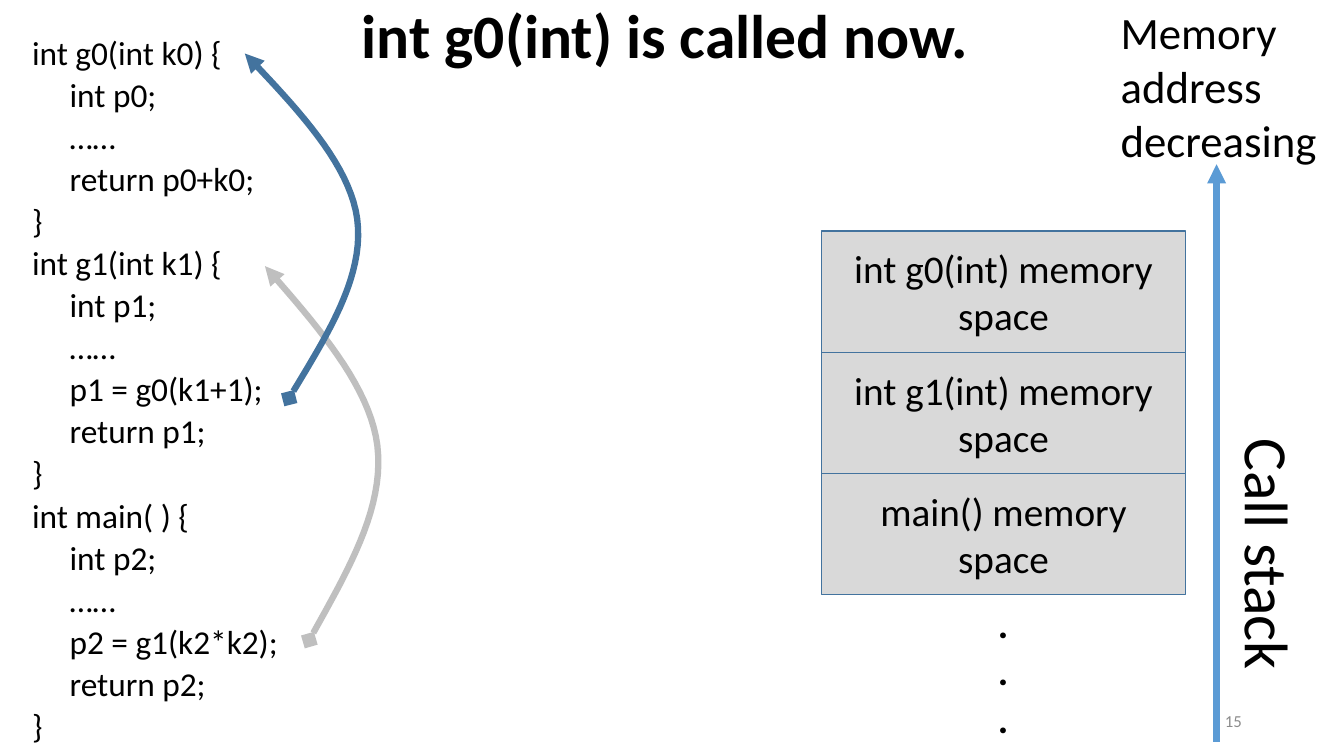
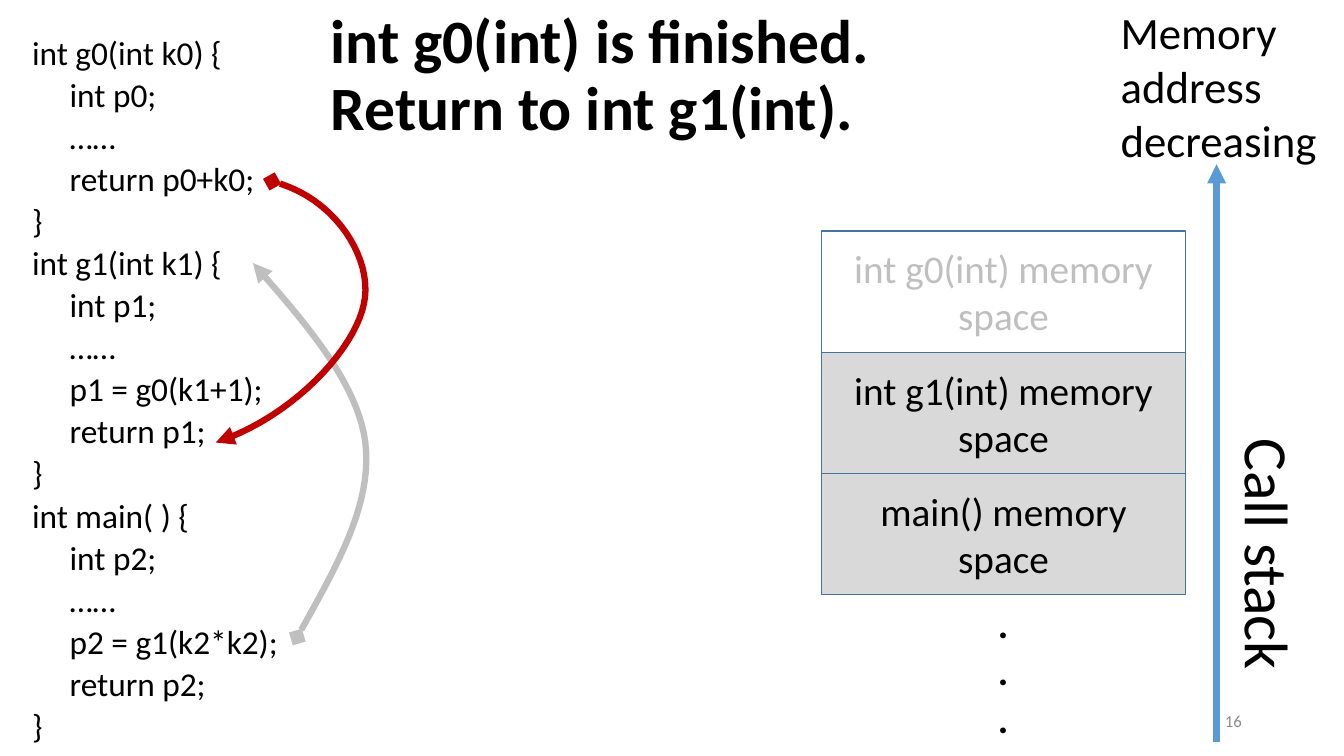
from dataclasses import dataclass

from lxml import etree
from pptx import Presentation
from pptx.dml.color import RGBColor
from pptx.enum.shapes import MSO_CONNECTOR, MSO_SHAPE
from pptx.enum.text import MSO_ANCHOR, PP_ALIGN
from pptx.oxml.ns import qn
from pptx.util import Pt

STRAIGHT = MSO_CONNECTOR.STRAIGHT
RECTANGLE = MSO_SHAPE.RECTANGLE
LEFT, CENTER, RIGHT = PP_ALIGN.LEFT, PP_ALIGN.CENTER, PP_ALIGN.RIGHT
TOP, MIDDLE = MSO_ANCHOR.TOP, MSO_ANCHOR.MIDDLE
TITLE_ONLY = 5


@dataclass(frozen=True)
class Theme:
    font: str = "Calibri"
    text: RGBColor = RGBColor(0x00, 0x00, 0x00)
    number: RGBColor = RGBColor(0x8C, 0x8C, 0x8C)
    faded: RGBColor = RGBColor(0xBF, 0xBF, 0xBF)
    active: RGBColor = RGBColor(0x43, 0x73, 0x9E)
    returning: RGBColor = RGBColor(0xC0, 0x00, 0x00)
    axis: RGBColor = RGBColor(0x5B, 0x9B, 0xD5)
    used: RGBColor = RGBColor(0xD9, 0xD9, 0xD9)
    free: RGBColor = RGBColor(0xFF, 0xFF, 0xFF)
    title_size: float = 44
    label_size: float = 32
    frame_size: float = 28
    code_size: float = 23.8
    number_size: float = 12
    arrow_width: float = 4.5


THEME = Theme()

CODE = """int g0(int k0) {
     int p0;
     ……
     return p0+k0;
}
int g1(int k1) {
     int p1;
     ……
     p1 = g0(k1+1);
     return p1;
}
int main( ) {
     int p2;
     ……
     p2 = g1(k2*k2);
     return p2;
}"""

# Two joined Bezier curves: x offset in points, y as a fraction of the height.
CALL_CURVE = [(0, 0), (26.6, 0.18), (54, 0.35), (48.6, 0.52),
              (43.2, 0.68), (5.8, 0.84), (-31.7, 1)]
RETURN_CURVE = [(0, 0), (45.4, 0.06), (72.7, 0.3), (65.5, 0.47),
                (59, 0.64), (15.8, 0.9), (-40.3, 1)]
CURVE_STEPS = 20

FRAME_LEFT, FRAME_TOP, FRAME_WIDTH, FRAME_HEIGHT = 586.8, 165, 260, 86.6
FRAMES = ["int g0(int) memory space", "int g1(int) memory space", "main() memory space"]

# Each arrow: curve, start x, start y, height (negative runs upwards), colour.
SLIDES = [
    {
        "title": "int g0(int) is called now.",
        "title_at": (251.3, 0),
        "arrows": [(CALL_CURVE, 221, 457.2, -267.1, THEME.faded),
                   (CALL_CURVE, 206.6, 284.4, -246.2, THEME.active)],
        "released": 0,
        "number": "15",
    },
    {
        "title": "int g0(int) is finished. Return to int g1(int).",
        "title_at": (229, 4),
        "arrows": [(CALL_CURVE, 212.4, 455, -267.1, THEME.faded),
                   (RETURN_CURVE, 194.4, 129.6, 186.5, THEME.returning)],
        "released": 1,
        "number": "16",
    },
]


def write(shape, text, size, color=THEME.text, bold=False, align=LEFT, anchor=TOP, wrap=True):
    frame = shape.text_frame
    frame.text = text
    frame.word_wrap = wrap
    frame.vertical_anchor = anchor
    for paragraph in frame.paragraphs:
        paragraph.alignment = align
        for run in paragraph.runs:
            run.font.name = THEME.font
            run.font.size = Pt(size)
            run.font.bold = bold
            run.font.color.rgb = color
    return frame


def style_arrow(shape, color, head="none"):
    """Colour a line, remove its shadow and put a triangle at its end."""
    shape.line.color.rgb = color
    shape.line.width = Pt(THEME.arrow_width)
    properties = shape.element.spPr
    outline = properties.find(qn("a:ln"))
    etree.SubElement(outline, qn("a:headEnd"), type=head)
    etree.SubElement(outline, qn("a:tailEnd"), type="triangle")
    etree.SubElement(properties, qn("a:effectLst"))


presentation = Presentation()
presentation.slide_width = Pt(960)
presentation.slide_height = Pt(540)

for content in SLIDES:
    slide = presentation.slides.add_slide(presentation.slide_layouts[TITLE_ONLY])
    shapes = slide.shapes

    title = shapes.title
    title_left, title_top = content["title_at"]
    title.left, title.top = Pt(title_left), Pt(title_top)
    title.width, title.height = Pt(527), Pt(106)
    frame = write(title, content["title"], THEME.title_size, bold=True)
    frame.paragraphs[0].line_spacing = 0.9

    code = shapes.add_textbox(Pt(15.8), Pt(27.4), Pt(317.5), Pt(512.6))
    frame = write(code, CODE, THEME.code_size)
    for index, paragraph in enumerate(frame.paragraphs):
        paragraph.line_spacing = 0.7
        paragraph.space_before = Pt(10 if index else 0)

    for curve, start_x, start_y, height, color in content["arrows"]:
        controls = [(start_x + x, start_y + y * height) for x, y in curve]
        points = []
        for first in (0, 3):
            a, b, c, d = controls[first:first + 4]
            for step in range(1, CURVE_STEPS + 1):
                t = step / CURVE_STEPS
                u = 1 - t
                weights = (u ** 3, 3 * u * u * t, 3 * u * t * t, t ** 3)
                points.append(tuple(
                    Pt(sum(weight * value for weight, value in zip(weights, values)))
                    for values in zip(a, b, c, d)))
        builder = shapes.build_freeform(Pt(start_x), Pt(start_y))
        builder.add_line_segments(points, close=False)
        arrow = builder.convert_to_shape()
        arrow.fill.background()
        style_arrow(arrow, color, head="diamond")

    for index, name in enumerate(FRAMES):
        released = index < content["released"]
        memory = shapes.add_shape(RECTANGLE, Pt(FRAME_LEFT), Pt(FRAME_TOP + index * FRAME_HEIGHT),
                                  Pt(FRAME_WIDTH), Pt(FRAME_HEIGHT))
        memory.shadow.inherit = False
        memory.fill.solid()
        memory.fill.fore_color.rgb = THEME.free if released else THEME.used
        memory.line.color.rgb = THEME.active
        memory.line.width = Pt(1)
        frame = write(memory, name, THEME.frame_size, THEME.faded if released else THEME.text,
                      align=CENTER, anchor=MIDDLE)
        frame.margin_left = frame.margin_right = Pt(12)

    dots = shapes.add_textbox(Pt(705.6), Pt(424.8), Pt(22.3), Pt(108.7))
    write(dots, ".\n.\n.", THEME.frame_size, bold=True, wrap=False)

    address_axis = shapes.add_connector(STRAIGHT, Pt(869), Pt(530), Pt(869), Pt(117.4))
    style_arrow(address_axis, THEME.axis)

    axis_label = shapes.add_textbox(Pt(793.4), Pt(0), Pt(166.6), Pt(123.8))
    write(axis_label, "Memory address decreasing", THEME.label_size)

    stack_label = shapes.add_textbox(Pt(815.8), Pt(366.5), Pt(181.4), Pt(60.5))
    stack_label.rotation = 90
    write(stack_label, "Call stack", THEME.title_size, wrap=False)

    number = shapes.add_textbox(Pt(678.2), Pt(500.4), Pt(216), Pt(28.8))
    write(number, content["number"], THEME.number_size, THEME.number, align=RIGHT, anchor=MIDDLE)

presentation.save("out.pptx")
